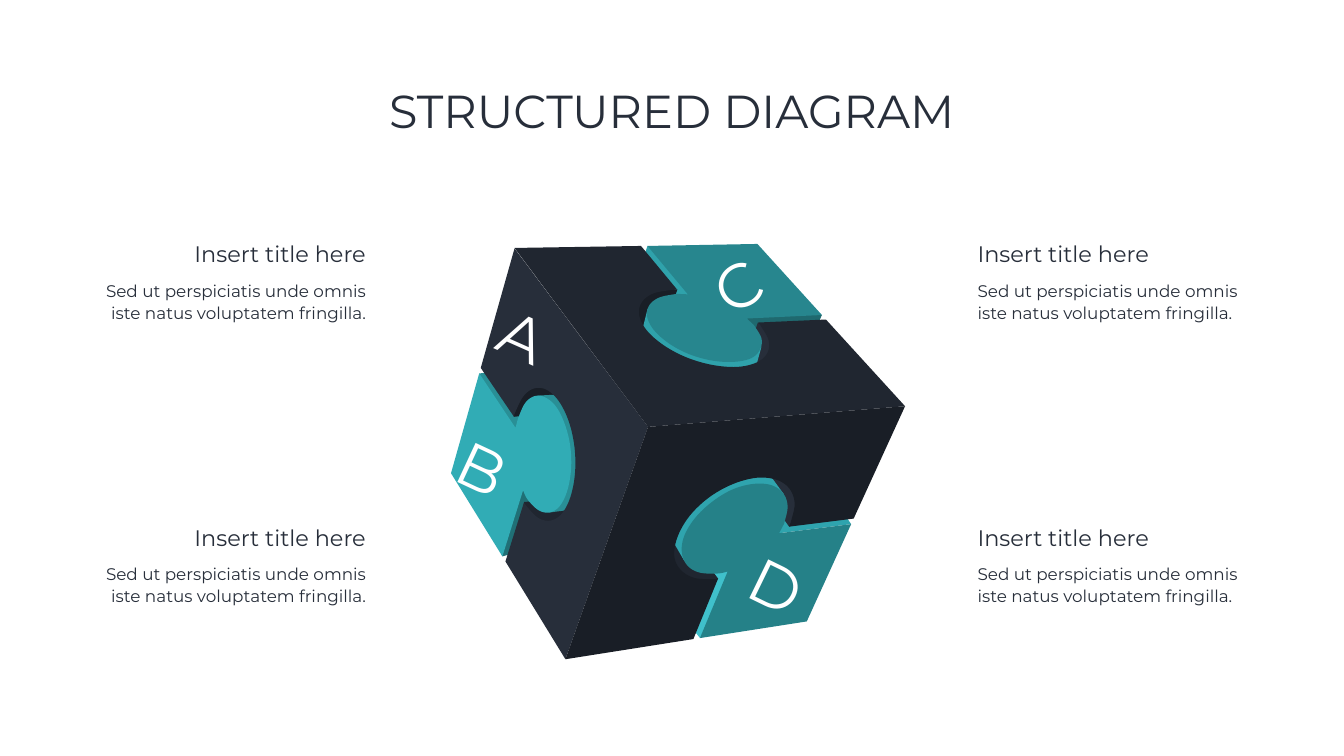
from dataclasses import dataclass

from pptx import Presentation
from pptx.dml.color import RGBColor
from pptx.enum.text import MSO_ANCHOR, MSO_AUTO_SIZE, PP_ALIGN
from pptx.util import Emu, Pt

PX = 9144  # EMU per px, 100 px to the inch
FONT = "Montserrat"
CURVE_STEPS = 6
LEFT, CENTER, RIGHT = PP_ALIGN.LEFT, PP_ALIGN.CENTER, PP_ALIGN.RIGHT
TOP, MIDDLE = MSO_ANCHOR.TOP, MSO_ANCHOR.MIDDLE
GROW = MSO_AUTO_SIZE.SHAPE_TO_FIT_TEXT

WHITE = RGBColor(0xFF, 0xFF, 0xFF)
SLATE = RGBColor(0x27, 0x2E, 0x3A)
SLATE_MID = RGBColor(0x20, 0x26, 0x30)
SLATE_DARK = RGBColor(0x19, 0x1E, 0x26)
TEAL_LEFT = RGBColor(0x31, 0xAC, 0xB5)
TEAL_TOP = RGBColor(0x27, 0x86, 0x8E)
TEAL_RIGHT = RGBColor(0x25, 0x81, 0x88)
EDGE_LEFT = RGBColor(0x29, 0x8F, 0x96)
EDGE_LEFT_DARK = RGBColor(0x20, 0x70, 0x76)
EDGE_TOP = RGBColor(0x2F, 0xA2, 0xAB)
EDGE_TOP_DARK = RGBColor(0x1F, 0x69, 0x6F)
EDGE_RIGHT = RGBColor(0x2F, 0xA4, 0xAE)
EDGE_RIGHT_LIGHT = RGBColor(0x40, 0xC0, 0xCB)

Points = list[tuple[float, float]]


@dataclass
class Piece:
    """A filled outline: straight corners, then an optional curved knob."""
    color: RGBColor
    corners: Points
    knob: Points | None = None


@dataclass
class Label:
    text: str
    left: int
    top: int
    width: int
    height: int
    size: int
    align: PP_ALIGN = CENTER
    color: RGBColor = SLATE
    wrap: bool = False
    spacing: float = 1.0
    anchor: MSO_ANCHOR = TOP
    rotation: int = 0


# Faces of the cube, each from back to front
LEFT_FACE = [
    Piece(EDGE_LEFT, [(951, 741), (1103, 725), (1177, 812), (1045, 894), (982, 854)]),
    Piece(SLATE_DARK, [(1020, 827), (1150, 813), (1106, 756), (1046, 737), (1011, 747), (1011, 794)]),
    Piece(EDGE_LEFT_DARK, [(997, 1104), (1083, 1079), (1091, 952), (1057, 914), (987, 960), (967, 1022)]),
    Piece(SLATE_MID, [(1040, 996), (1217, 983), (1174, 1070), (1096, 1113), (1037, 1066)]),
    Piece(EDGE_LEFT, [(1090, 1017), (1203, 1002), (1206, 894), (1162, 786), (1142, 781), (1067, 785)]),
    Piece(SLATE,
          [(1003, 1114), (1122, 1308), (1286, 847), (1021, 493), (954, 730), (1020, 827)],
          [(1021, 821), (1038, 787), (1059, 771), (1084, 773), (1109, 796), (1129, 837), (1140, 887),
           (1141, 939), (1132, 986), (1115, 1019), (1092, 1033), (1067, 1027), (1043, 1002), (1040, 996)]),
    Piece(TEAL_LEFT,
          [(997, 1104), (895, 939), (951, 741), (1023, 849)],
          [(1028, 830), (1042, 800), (1061, 786), (1083, 789), (1105, 809), (1122, 845), (1132, 888),
           (1133, 934), (1125, 976), (1110, 1005), (1090, 1017), (1068, 1012), (1047, 991), (1038, 973)]),
]
TOP_FACE = [
    Piece(EDGE_TOP, [(1285, 488), (1246, 599), (1352, 649), (1409, 627), (1400, 569)]),
    Piece(SLATE_DARK, [(1344, 575), (1294, 717), (1234, 652), (1223, 580), (1262, 559)]),
    Piece(EDGE_TOP_DARK, [(1631, 625), (1580, 742), (1457, 702), (1425, 640), (1490, 607)]),
    Piece(SLATE, [(1504, 640), (1459, 770), (1524, 777), (1582, 744), (1571, 680)]),
    Piece(EDGE_TOP, [(1511, 688), (1483, 790), (1274, 747), (1262, 705), (1285, 613)]),
    Piece(SLATE_MID,
          [(1272, 488), (1021, 492), (1286, 847), (1796, 806), (1639, 634), (1504, 640)],
          [(1508, 644), (1525, 674), (1523, 700), (1502, 719), (1463, 728), (1413, 724), (1362, 709),
           (1317, 685), (1283, 655), (1268, 624), (1274, 599), (1297, 582), (1336, 575), (1344, 575)]),
    Piece(TEAL_TOP,
          [(1482, 632), (1631, 625), (1503, 484), (1285, 488), (1365, 584)],
          [(1343, 583), (1309, 590), (1289, 605), (1284, 627), (1297, 654), (1327, 681), (1366, 702),
           (1411, 715), (1455, 718), (1490, 711), (1508, 694), (1511, 671), (1496, 645)]),
]
RIGHT_FACE = [
    Piece(EDGE_RIGHT_LIGHT, [(1389, 1266), (1279, 1125), (1334, 1066), (1501, 1066), (1459, 1145)]),
    Piece(SLATE_MID, [(1425, 1148), (1298, 981), (1236, 1088), (1293, 1165), (1375, 1192)]),
    Piece(EDGE_RIGHT, [(1689, 1040), (1590, 892), (1422, 900), (1546, 1058)]),
    Piece(SLATE, [(1566, 1045), (1468, 906), (1557, 894), (1657, 933), (1665, 1001)]),
    Piece(EDGE_RIGHT, [(1555, 980), (1474, 869), (1369, 894), (1290, 996), (1358, 1113)]),
    Piece(SLATE_DARK,
          [(1376, 1268), (1122, 1308), (1286, 847), (1796, 806), (1694, 1029), (1566, 1045)],
          [(1569, 1037), (1577, 1000), (1567, 970), (1541, 952), (1501, 948), (1453, 961), (1407, 987),
           (1369, 1023), (1345, 1064), (1338, 1103), (1351, 1131), (1379, 1147), (1419, 1149), (1425, 1148)]),
    Piece(TEAL_RIGHT,
          [(1444, 1134), (1389, 1266), (1601, 1233), (1689, 1040), (1546, 1058)],
          [(1556, 1039), (1563, 1006), (1555, 980), (1532, 963), (1496, 960), (1454, 971), (1414, 995),
           (1380, 1027), (1358, 1063), (1353, 1096), (1364, 1122), (1388, 1136), (1423, 1138), (1444, 1134)]),
]

# Letters on the cube: text, left, top, width, rotation
LETTERS = [("C", 1408, 486, 111, -32), ("D", 1482, 1081, 117, 26),
           ("B", 903, 848, 107, 25), ("A", 982, 587, 112, 24)]

# Captions: heading left, body left, alignment for each column
COLUMNS = [(373, 173, RIGHT), (1930, 1930, LEFT)]
ROW_TOPS = (472, 1034)
HEADING = "Insert title here"
BODY = "Sed ut perspiciatis unde omnis iste natus voluptatem fringilla."


def smooth(points: Points) -> Points:
    """Sample a Catmull-Rom curve through the points."""
    padded = [points[0], *points, points[-1]]
    curve = [points[0]]
    for before, start, end, after in zip(padded, padded[1:], padded[2:], padded[3:]):
        for step in range(1, CURVE_STEPS + 1):
            t = step / CURVE_STEPS
            curve.append(tuple(
                (2 * b + (c - a) * t + (2 * a - 5 * b + 4 * c - d) * t ** 2
                 + (3 * b - a - 3 * c + d) * t ** 3) / 2
                for a, b, c, d in zip(before, start, end, after)))
    return curve


def draw_piece(shapes, piece: Piece) -> None:
    outline = piece.corners + (smooth(piece.knob) if piece.knob else [])
    first, *rest = [(round(x * PX), round(y * PX)) for x, y in outline]
    builder = shapes.build_freeform(*first)
    builder.add_line_segments(rest, close=True)
    shape = builder.convert_to_shape()
    shape.shadow.inherit = False
    shape.fill.solid()
    shape.fill.fore_color.rgb = piece.color
    shape.line.fill.background()


def draw_label(shapes, label: Label) -> None:
    bounds = (label.left, label.top, label.width, label.height)
    box = shapes.add_textbox(*(Emu(length * PX) for length in bounds))
    box.rotation = label.rotation
    frame = box.text_frame
    para = frame.paragraphs[0]
    span = para.add_run()
    span.text = label.text
    span.font.color.rgb = label.color
    formats = {
        frame: {"word_wrap": label.wrap, "vertical_anchor": label.anchor,
                "auto_size": MSO_AUTO_SIZE.NONE if label.anchor == MIDDLE else GROW},
        para: {"alignment": label.align, "line_spacing": label.spacing},
        span.font: {"name": FONT, "size": Pt(label.size)},
    }
    for target, values in formats.items():
        for name, value in values.items():
            setattr(target, name, value)


def main() -> None:
    deck = Presentation()
    deck.slide_width, deck.slide_height = Emu(2667 * PX), Emu(1500 * PX)
    shapes = deck.slides.add_slide(deck.slide_layouts[6]).shapes

    # Puzzle cube
    for face in (LEFT_FACE, TOP_FACE, RIGHT_FACE):
        group = shapes.add_group_shape()
        for piece in face:
            draw_piece(group.shapes, piece)
    for text, left, top, width, rotation in LETTERS:
        draw_label(shapes, Label(text, left, top, width, 158, 88, color=WHITE, rotation=rotation))

    # Captions
    for heading_left, body_left, align in COLUMNS:
        for top in ROW_TOPS:
            draw_label(shapes, Label(HEADING, heading_left, top, 363, 64, 32, align))
            draw_label(shapes, Label(BODY, body_left, top + 76, 563, 97, 24, align,
                                     wrap=True, spacing=1.1))

    # Title
    draw_label(shapes, Label("STRUCTURED DIAGRAM", 183, 80, 2300, 290, 66,
                             wrap=True, spacing=0.9, anchor=MIDDLE))
    deck.save("out.pptx")


if __name__ == "__main__":
    main()
